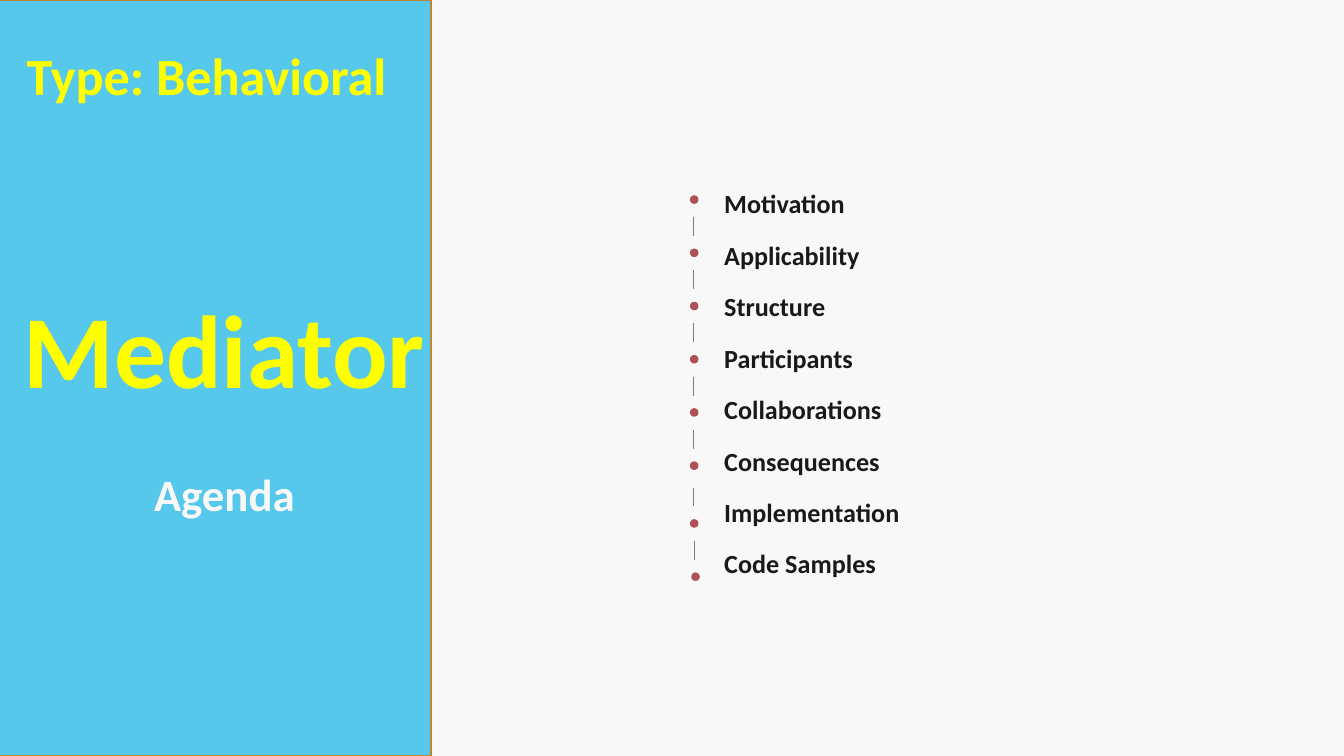
from lxml.etree import SubElement
from pptx import Presentation
from pptx.dml.color import RGBColor
from pptx.enum.shapes import MSO_CONNECTOR, MSO_SHAPE
from pptx.enum.text import MSO_ANCHOR, MSO_AUTO_SIZE, PP_ALIGN
from pptx.oxml.ns import qn
from pptx.util import Inches, Pt

WIDE, HIGH = Inches(10), Inches(5.625)
PAPER = RGBColor(0xF8, 0xF8, 0xF8)
SKY = RGBColor(0x56, 0xC8, 0xEB)
OCHRE = RGBColor(0xBD, 0x86, 0x2F)
YELLOW = RGBColor(0xFF, 0xFF, 0x00)
INK = RGBColor(0x19, 0x19, 0x19)
RED = RGBColor(0xAC, 0x52, 0x54)
GREY = RGBColor(0x7C, 0x7C, 0x7C)

TOPICS = ["Motivation", "Applicability", "Structure", "Participants",
          "Collaborations", "Consequences", "Implementation", "Code Samples"]
TOP, STEP, SHIFT = 25.96, 7.04, 0.6


def across(share):
    """Turn a percentage of the slide width into a length."""
    return int(WIDE * share / 100)


def down(share):
    """Turn a percentage of the slide height into a length."""
    return int(HIGH * share / 100)


def frame(x, y, w, h):
    """Turn four percentages into left, top, width and height."""
    return across(x), down(y), across(w), down(h)


def add_form(slide, kind, box, fill, edge):
    """Add a filled shape with a one-point outline."""
    form = slide.shapes.add_shape(kind, *frame(*box))
    form.shadow.inherit = False
    form.fill.solid()
    form.fill.fore_color.rgb = fill
    form.line.color.rgb = edge
    form.line.width = Pt(1)


def add_text(slide, box, text, size, color, align=PP_ALIGN.LEFT,
             wrap=True, grow=True, space=None, before=None):
    """Add bold text with one paragraph per line and return its frame."""
    body = slide.shapes.add_textbox(*frame(*box)).text_frame
    body.text = text
    body.word_wrap = wrap
    body.auto_size = MSO_AUTO_SIZE.SHAPE_TO_FIT_TEXT if grow else MSO_AUTO_SIZE.NONE
    for para in body.paragraphs:
        para.alignment = align
        para.line_spacing = space
        para.space_before = before
        for run in para.runs:
            font = run.font
            font.name, font.size, font.bold = "Calibri", Pt(size), True
            font.color.rgb = color
    return body


def add_link(slide, x, y):
    """Add a short thin upright line."""
    link = slide.shapes.add_connector(
        MSO_CONNECTOR.STRAIGHT, across(x), down(y), across(x), down(y + 2.5))
    link.line.color.rgb = GREY
    link.line.width = Pt(0.5)
    SubElement(link._element.spPr, qn("a:effectLst"))


def add_trail(slide):
    """Add one dot per topic, with a link above all but the first."""
    last = len(TOPICS) - 1
    for row in range(len(TOPICS)):
        x = 51.5 if row == last else 51.4
        y = TOP + row * STEP + (SHIFT if row >= last - 1 else 0)
        add_form(slide, MSO_SHAPE.OVAL, (x, y, 0.5, 0.89), RED, RED)
        if row:
            add_link(slide, x + 0.2, y - 4.3)


def main():
    """Build the agenda slide and save it."""
    deck = Presentation()
    deck.slide_width, deck.slide_height = WIDE, HIGH
    slide = deck.slides.add_slide(deck.slide_layouts[6])
    slide.background.fill.solid()
    slide.background.fill.fore_color.rgb = PAPER

    add_form(slide, MSO_SHAPE.RECTANGLE, (-0.2, 0, 32.3, 100), SKY, OCHRE)
    title = add_text(slide, (0, 39.3, 33.4, 16.2), "Mediator", 55.5, YELLOW,
                     PP_ALIGN.CENTER, grow=False, space=0.8)
    title.vertical_anchor = MSO_ANCHOR.MIDDLE
    add_text(slide, (1, 4.8, 29.1, 10.1), "Type: Behavioral", 28, YELLOW, wrap=False)
    add_text(slide, (52.9, 21.9, 29.9, 57.2), "\n".join(TOPICS), 14, INK,
             space=1.5, before=Pt(2.34))
    add_trail(slide)
    add_text(slide, (10.4, 60.8, 12.6, 8.9), "Agenda", 24, PAPER,
             PP_ALIGN.CENTER, wrap=False)
    deck.save("out.pptx")


if __name__ == "__main__":
    main()
